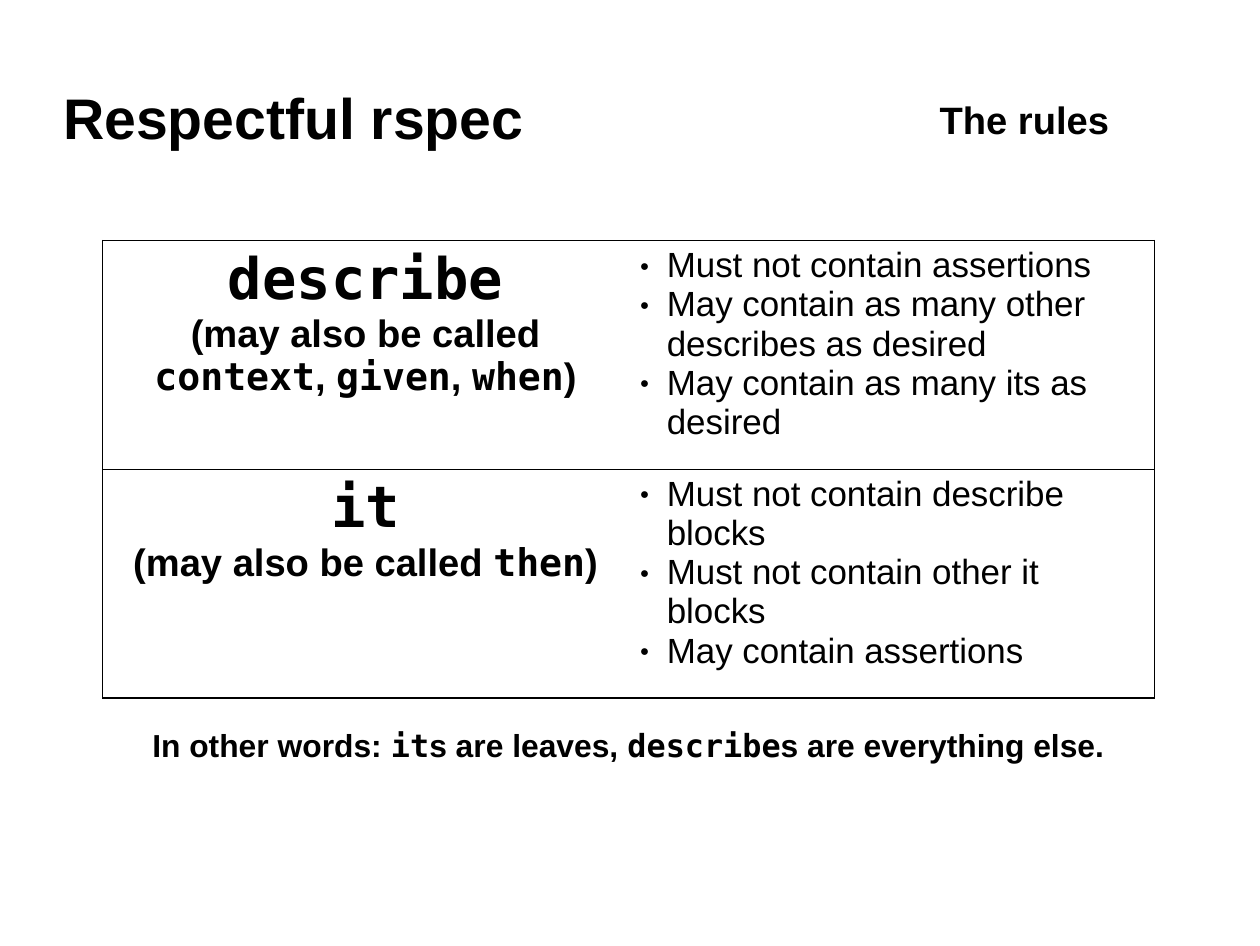
from dataclasses import dataclass

from lxml import etree
from pptx import Presentation
from pptx.dml.color import RGBColor
from pptx.enum.text import MSO_ANCHOR, PP_ALIGN
from pptx.oxml.ns import qn
from pptx.util import Cm, Inches, Pt

LEFT, CENTER, RIGHT = PP_ALIGN.LEFT, PP_ALIGN.CENTER, PP_ALIGN.RIGHT
MIDDLE = MSO_ANCHOR.MIDDLE
SANS, MONO = "Arial", "DejaVu Sans Mono"
INK, PAPER = "000000", "FFFFFF"
SLIDE_WIDTH, SLIDE_HEIGHT = Inches(11.02), Inches(8.27)
BORDER_WIDTH = Pt(0.85)
BULLET_INDENT = Cm(0.6)
TABLE_LEFT, TABLE_TOP = Cm(2.28), Cm(5.34)
COLUMN_WIDTH, ROW_HEIGHT = Cm(11.68), Cm(5.08)


@dataclass
class BlockRule:
    keyword: str
    aliases: str
    rules: list[str]


BLOCK_RULES = [
    BlockRule(
        "`describe`",
        "(may also be called `context`, `given`, `when`)",
        [
            "Must not contain assertions",
            "May contain as many other describes as desired",
            "May contain as many its as desired",
        ],
    ),
    BlockRule(
        "`it`",
        "(may also be called `then`)",
        [
            "Must not contain describe blocks",
            "Must not contain other it blocks",
            "May contain assertions",
        ],
    ),
]


def color(code: str) -> RGBColor:
    return RGBColor.from_string(code)


def write(paragraph, text: str, size: int, align, bold: bool = True) -> None:
    """Fill a paragraph, setting the parts between backticks in the code font."""
    paragraph.alignment = align
    for index, part in enumerate(text.split("`")):
        if not part:
            continue
        run = paragraph.add_run()
        run.text = part
        run.font.name = MONO if index % 2 else SANS
        run.font.size = Pt(size)
        run.font.bold = bold
        run.font.color.rgb = color(INK)


def add_bullet(paragraph) -> None:
    properties = paragraph._p.get_or_add_pPr()
    properties.set("marL", str(BULLET_INDENT))
    properties.set("indent", str(-BULLET_INDENT))
    bullet_color = etree.SubElement(properties, qn("a:buClr"))
    etree.SubElement(bullet_color, qn("a:srgbClr"), val=INK)
    etree.SubElement(properties, qn("a:buSzPct"), val="45000")
    etree.SubElement(properties, qn("a:buFont"), typeface=SANS)
    etree.SubElement(properties, qn("a:buChar"), char="●")


def style_cell(cell, visible_sides: str) -> None:
    cell.fill.solid()
    cell.fill.fore_color.rgb = color(PAPER)
    properties = cell._tc.get_or_add_tcPr()
    for position, side in enumerate("LRTB"):
        line = etree.Element(qn(f"a:ln{side}"), w=str(BORDER_WIDTH))
        if side in visible_sides:
            fill = etree.SubElement(line, qn("a:solidFill"))
            etree.SubElement(fill, qn("a:srgbClr"), val=INK)
        else:
            etree.SubElement(line, qn("a:noFill"))
        properties.insert(position, line)


def remove_margins(frame) -> None:
    frame.margin_left = frame.margin_right = 0
    frame.margin_top = frame.margin_bottom = 0


def add_headings(slide) -> None:
    title = slide.shapes.title
    title.left, title.top = Cm(1.4), Cm(1.59)
    title.width, title.height = Cm(10.54), Cm(2.01)
    topic = slide.shapes.add_textbox(Cm(14.73), Cm(1.65), Cm(9.91), Cm(2.01))
    for heading, text, size, align in (
        (title, "Respectful rspec", 36, LEFT),
        (topic, "The rules", 24, RIGHT),
    ):
        frame = heading.text_frame
        frame.word_wrap = True
        frame.vertical_anchor = MIDDLE
        remove_margins(frame)
        write(frame.paragraphs[0], text, size, align)


def add_rules_table(slide) -> None:
    rows = len(BLOCK_RULES)
    table = slide.shapes.add_table(
        rows, 2, TABLE_LEFT, TABLE_TOP, 2 * COLUMN_WIDTH, rows * ROW_HEIGHT
    ).table
    table.first_row = table.horz_banding = False
    for row, block in enumerate(BLOCK_RULES):
        name_cell, rules_cell = table.cell(row, 0), table.cell(row, 1)
        style_cell(name_cell, "LTB")
        style_cell(rules_cell, "RTB")
        names = name_cell.text_frame
        write(names.paragraphs[0], block.keyword, 36, CENTER)
        write(names.add_paragraph(), block.aliases, 24, CENTER)
        rules = rules_cell.text_frame
        for index, text in enumerate(block.rules):
            rule = rules.add_paragraph() if index else rules.paragraphs[0]
            write(rule, text, 22, LEFT, bold=False)
            add_bullet(rule)


def add_summary(slide) -> None:
    summary = slide.shapes.add_textbox(TABLE_LEFT, Cm(16), 2 * COLUMN_WIDTH, Cm(1.12))
    summary.text_frame.word_wrap = True
    write(
        summary.text_frame.paragraphs[0],
        "In other words: `it`s are leaves, `describe`s are everything else.",
        20,
        CENTER,
    )


def main() -> None:
    deck = Presentation()
    deck.slide_width, deck.slide_height = SLIDE_WIDTH, SLIDE_HEIGHT
    slide = deck.slides.add_slide(deck.slide_layouts.get_by_name("Title Only"))
    add_headings(slide)
    add_rules_table(slide)
    add_summary(slide)
    deck.save("out.pptx")


if __name__ == "__main__":
    main()
